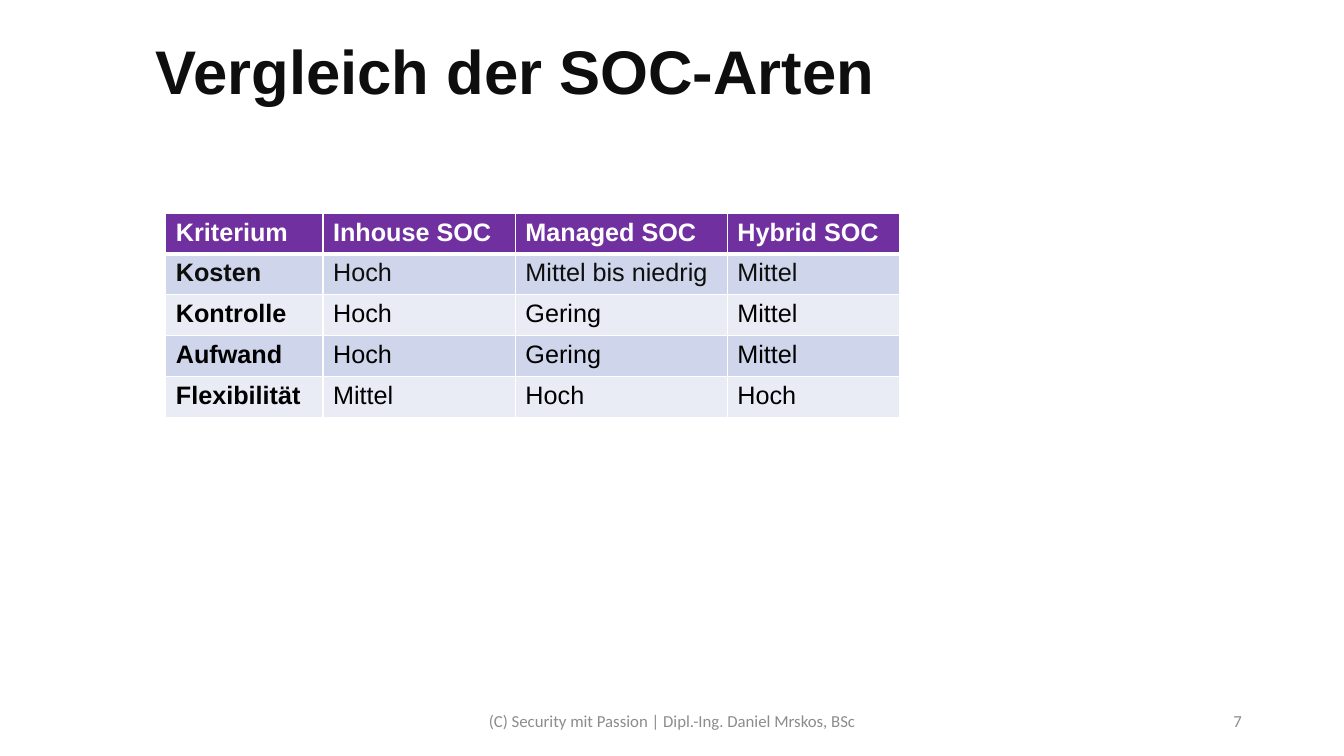
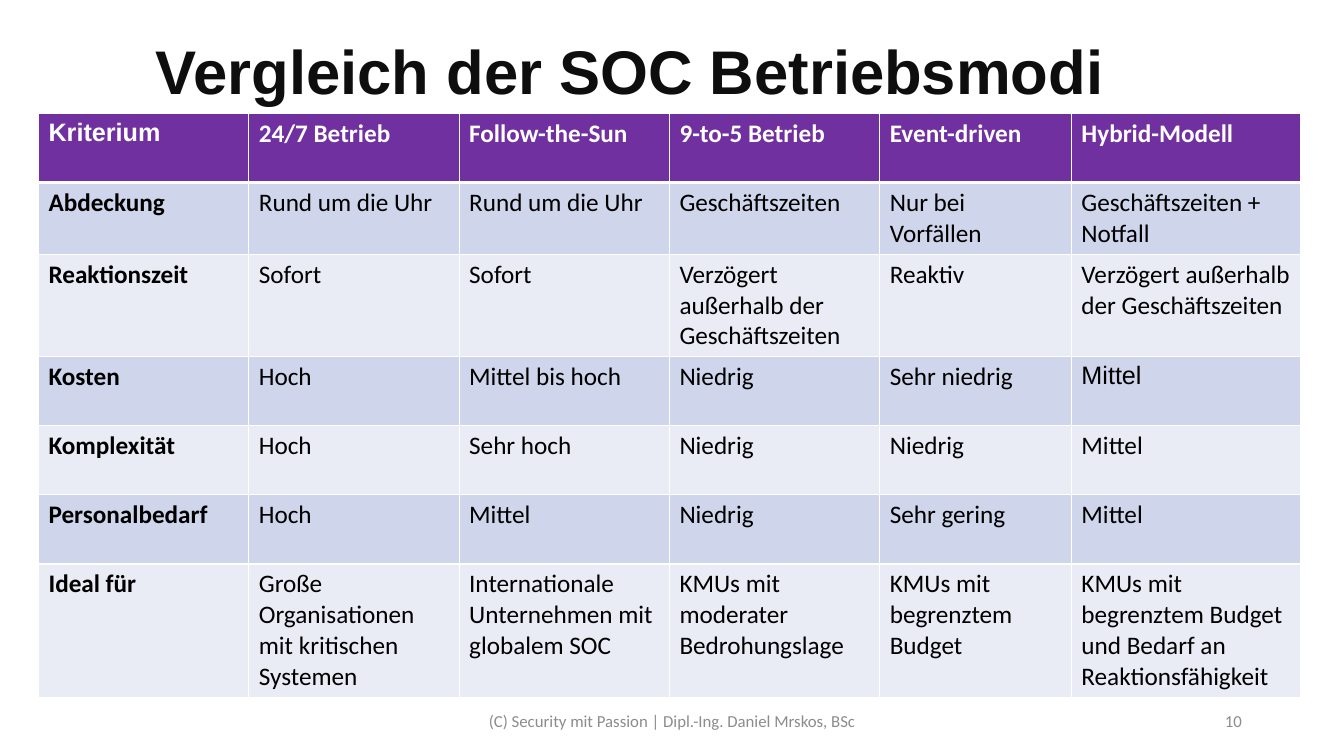
from pptx import Presentation
from pptx.dml.color import RGBColor
from pptx.enum import text
from pptx.oxml import parse_xml
from pptx.oxml.ns import nsdecls
from pptx.util import Cm, Pt

FOOTER = "(C) Security mit Passion | Dipl.-Ing. Daniel Mrskos, BSc"


def rgb(value):
    return RGBColor.from_string(value)


def write(tf, content, font="Calibri", size=18, color="000000", bold=False,
          align=text.PP_ALIGN.LEFT, spacing=1.0):
    p = tf.paragraphs[0]
    p.alignment = align
    p.line_spacing = spacing
    r = p.add_run()
    r.text = content
    r.font.name = font
    r.font.size = Pt(size)
    r.font.bold = bold
    r.font.color.rgb = rgb(color)


class Deck:
    INK, GREY, WHITE = "0E0E0E", "8C8C8C", "FFFFFF"
    HEADER, BANDS = "7030A0", ("E9EBF5", "CFD5EA")

    def __init__(self):
        self.prs = Presentation()
        self.prs.slide_width, self.prs.slide_height = Cm(33.87), Cm(19.05)
        self.s = None

    def slide(self, title, number):
        """Start a slide with its title, footer and page number."""
        self.s = self.prs.slides.add_slide(self.prs.slide_layouts[6])
        self.text(title, 3.68, 0.05, 29.2, 3.68, font="Arial", size=44,
                  color=self.INK, bold=True, spacing=0.9)
        footer = dict(size=12, color=self.GREY)
        self.text(FOOTER, 11.23, 17.65, 11.43, 1.02,
                  align=text.PP_ALIGN.CENTER, **footer)
        self.text(str(number), 23.93, 17.65, 7.62, 1.02,
                  align=text.PP_ALIGN.RIGHT, **footer)

    def text(self, content, left, top, width, height, **style):
        sp = self.s.shapes.add_textbox(Cm(left), Cm(top), Cm(width), Cm(height))
        tf = sp.text_frame
        tf.word_wrap = True
        tf.vertical_anchor = text.MSO_ANCHOR.MIDDLE
        write(tf, content, **style)

    def borders(self, cell, **widths):
        tc_pr = cell._tc.get_or_add_tcPr()
        for side in "LRTB":
            tc_pr.append(parse_xml(
                f'<a:ln{side} {nsdecls("a")} w="{Pt(widths.get(side, 1))}">'
                f'<a:solidFill><a:srgbClr val="{self.WHITE}"/></a:solidFill>'
                f'</a:ln{side}>'))

    def table(self, rows, left, top, widths, heights, font, special):
        """Draw a banded table; special maps (row, column) to text formats."""
        table = self.s.shapes.add_table(
            len(rows), len(widths), Cm(left), Cm(top),
            Cm(sum(widths)), Cm(sum(heights))).table
        table.first_row = table.horz_banding = False
        for column, width in zip(table.columns, widths):
            column.width = Cm(width)
        for i, (row, height) in enumerate(zip(rows, heights)):
            table.rows[i].height = Cm(height)
            header = i == 0
            for j, content in enumerate(row):
                cell = table.cell(i, j)
                self.borders(cell, T=3 if i == 1 else 1, B=3 if header else 1)
                cell.fill.solid()
                cell.fill.fore_color.rgb = rgb(
                    self.HEADER if header else self.BANDS[i % 2])
                style = dict(font=font, bold=header or j == 0,
                             color=self.WHITE if header else "000000")
                write(cell.text_frame, content,
                      **{**style, **special.get((i, j), {})})


SOC_TYPES = [
    ["Kriterium", "Inhouse SOC", "Managed SOC", "Hybrid SOC"],
    ["Kosten", "Hoch", "Mittel bis niedrig", "Mittel"],
    ["Kontrolle", "Hoch", "Gering", "Mittel"],
    ["Aufwand", "Hoch", "Gering", "Mittel"],
    ["Flexibilität", "Mittel", "Hoch", "Hoch"],
]

OPERATING_MODES = [
    ["Kriterium", "24/7 Betrieb", "Follow-the-Sun", "9-to-5 Betrieb",
     "Event-driven", "Hybrid-Modell"],
    ["Abdeckung", "Rund um die Uhr", "Rund um die Uhr", "Geschäftszeiten",
     "Nur bei Vorfällen", "Geschäftszeiten + Notfall"],
    ["Reaktionszeit", "Sofort", "Sofort",
     "Verzögert außerhalb der Geschäftszeiten", "Reaktiv",
     "Verzögert außerhalb der Geschäftszeiten"],
    ["Kosten", "Hoch", "Mittel bis hoch", "Niedrig", "Sehr niedrig", "Mittel"],
    ["Komplexität", "Hoch", "Sehr hoch", "Niedrig", "Niedrig", "Mittel"],
    ["Personalbedarf", "Hoch", "Mittel", "Niedrig", "Sehr gering", "Mittel"],
    ["Ideal für", "Große Organisationen mit kritischen Systemen",
     "Internationale Unternehmen mit globalem SOC",
     "KMUs mit moderater Bedrohungslage", "KMUs mit begrenztem Budget",
     "KMUs mit begrenztem Budget und Bedarf an Reaktionsfähigkeit"],
]


def main():
    deck = Deck()

    deck.slide("Vergleich der SOC-Arten", 7)
    deck.table(SOC_TYPES, 4.18, 5.37, [3.96, 4.85, 5.34, 4.34], [1.03] * 5,
               "Arial", {(1, j): dict(color=deck.INK) for j in range(4)})

    deck.slide("Vergleich der SOC Betriebsmodi", 10)
    deck.table(OPERATING_MODES, 0.97, 2.86, [5.3] * 4 + [4.83, 5.77],
               [1.74, 1.81, 2.58] + [1.74] * 3 + [3.36], "Calibri",
               {cell: dict(font="Arial") for cell in [(0, 0), (3, 5)]})

    deck.prs.save("out.pptx")


if __name__ == "__main__":
    main()
